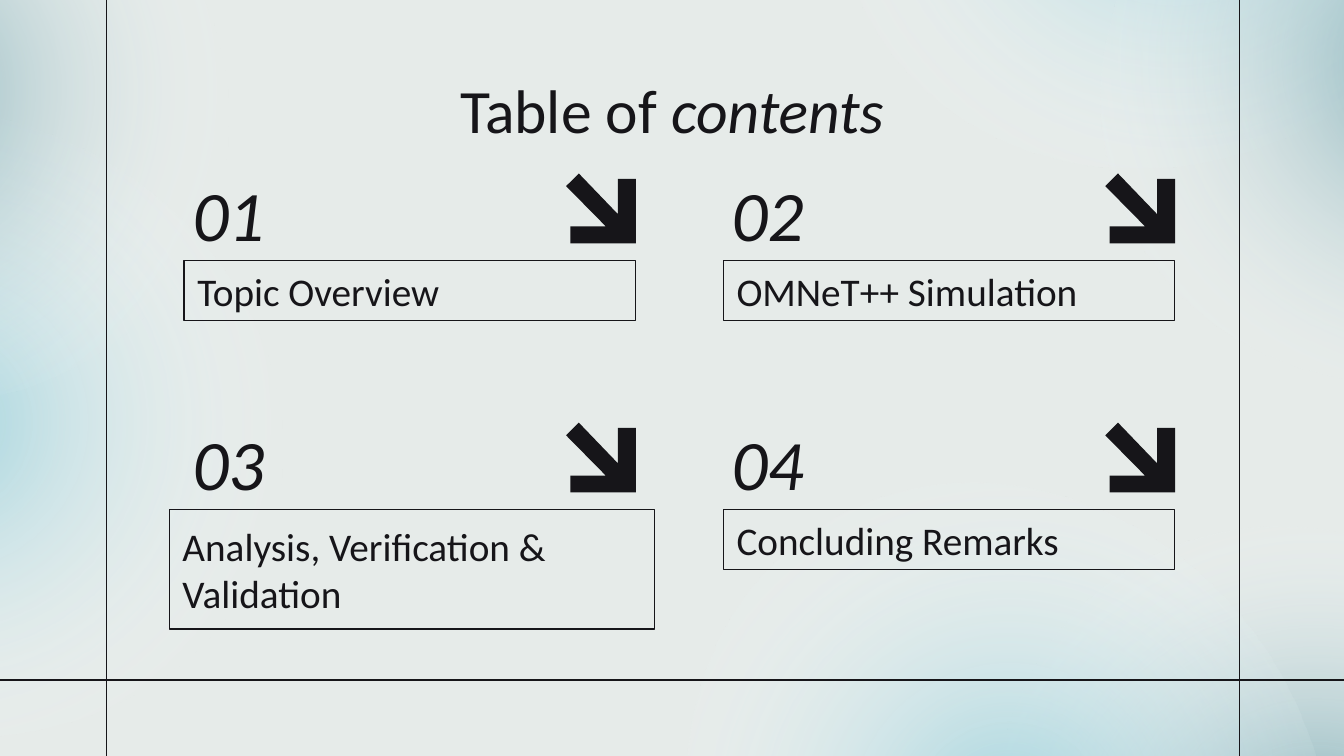
"""Build the table of contents slide with four numbered topics."""
import dataclasses

import pptx
import pptx.dml.color
import pptx.enum.shapes
import pptx.enum.text
import pptx.oxml
import pptx.oxml.ns
import pptx.util

Cm = pptx.util.Cm
ALIGN = pptx.enum.text.PP_ALIGN
SHAPES = pptx.enum.shapes.MSO_SHAPE


@dataclasses.dataclass(frozen=True)
class Theme:
    font: str = "Calibri"
    ink: str = "161519"
    paper: str = "E6EBE9"
    teal: str = "4E909E"
    aqua: str = "80C8D8"
    clear: str = "FFFFFF"
    title_size: int = 33
    number_size: int = 38
    topic_size: int = 21
    rule_width: float = 0.75


THEME = Theme()
SLIDE_WIDTH, SLIDE_HEIGHT = 25.4, 14.29
COLUMN_PITCH, ROW_PITCH = 10.19, 4.71
GLOW_WIDTH, GLOW_HEIGHT = 13.26, 11.68
ARROW_OUTLINE = [(0.24, 0), (0, 0.24), (0.75, 1), (0.08, 1), (0.08, 1.32),
                 (1.32, 1.32), (1.32, 0.1), (0.98, 0.1), (0.98, 0.77)]
GLOWS = [
    (18.24, 10.52, 237.1, THEME.teal, 81),
    (12.42, 9.68, 237.1, THEME.aqua, 68),
    (-7.82, 2.13, 202, THEME.aqua, 68),
    (-8.84, -4.14, 202, THEME.teal, 68),
    (15.57, -8.74, 149, THEME.aqua, 68),
    (20.6, -4.65, 149, THEME.teal, 68),
]
NARROW_LABEL = (3.48, 8.53, 1.14)
WIDE_LABEL = (3.2, 9.17, 2.26)
TOPICS = [
    ("Topic Overview", NARROW_LABEL),
    ("OMNeT++ Simulation", NARROW_LABEL),
    ("Analysis, Verification & Validation", WIDE_LABEL),
    ("Concluding Remarks", NARROW_LABEL),
]


def rgb(value):
    return pptx.dml.color.RGBColor.from_string(value)


def add_glow(slide, left, top, angle, color, opacity):
    glow = slide.shapes.add_shape(
        SHAPES.OVAL, Cm(left), Cm(top), Cm(GLOW_WIDTH), Cm(GLOW_HEIGHT))
    glow.rotation = angle
    glow.shadow.inherit = False
    glow.line.fill.background()
    glow.fill.background()
    stops = "".join(
        f'<a:gs pos="{position * 1000}"><a:srgbClr val="{tint}">'
        f'<a:alpha val="{alpha * 1000}"/></a:srgbClr></a:gs>'
        for position, tint, alpha in [
            (0, color, opacity), (58, THEME.clear, 0), (100, THEME.clear, 0)])
    gradient = pptx.oxml.parse_xml(
        f'<a:gradFill {pptx.oxml.ns.nsdecls("a")} rotWithShape="1">'
        f'<a:gsLst>{stops}</a:gsLst><a:path path="circle">'
        '<a:fillToRect l="50000" t="50000" r="50000" b="50000"/>'
        '</a:path></a:gradFill>')
    properties = glow.element.spPr
    properties.replace(properties.find(pptx.oxml.ns.qn("a:noFill")), gradient)


def add_rule(slide, start, end):
    rule = slide.shapes.add_connector(
        pptx.enum.shapes.MSO_CONNECTOR.STRAIGHT,
        *[Cm(value) for value in (*start, *end)])
    rule.line.color.rgb = rgb(THEME.ink)
    rule.line.width = pptx.util.Pt(THEME.rule_width)
    rule.element.spPr.append(pptx.oxml.parse_xml(
        f'<a:effectLst {pptx.oxml.ns.nsdecls("a")}/>'))


def write_text(holder, runs, size, align):
    frame = holder.text_frame
    frame.word_wrap = True
    frame.vertical_anchor = pptx.enum.text.MSO_ANCHOR.MIDDLE
    frame.margin_left = frame.margin_right = Cm(0.25)
    frame.margin_top = frame.margin_bottom = Cm(0.25)
    paragraph = frame.paragraphs[0]
    paragraph.alignment = align
    for words, italic in runs:
        run = paragraph.add_run()
        run.text = words
        run.font.name = THEME.font
        run.font.size = pptx.util.Pt(size)
        run.font.italic = italic
        run.font.color.rgb = rgb(THEME.ink)


def add_heading(slide, left, top, width, height, runs, size):
    heading = slide.shapes.add_textbox(Cm(left), Cm(top), Cm(width), Cm(height))
    write_text(heading, runs, size, ALIGN.CENTER)


def add_label(slide, left, top, width, height, topic):
    label = slide.shapes.add_shape(
        SHAPES.RECTANGLE, Cm(left), Cm(top), Cm(width), Cm(height))
    label.shadow.inherit = False
    label.fill.background()
    label.line.color.rgb = rgb(THEME.ink)
    label.line.width = pptx.util.Pt(THEME.rule_width)
    write_text(label, [(topic, False)], THEME.topic_size, ALIGN.LEFT)


def add_arrow(slide, left, top):
    corners = [(Cm(left + x), Cm(top + y)) for x, y in ARROW_OUTLINE]
    outline = slide.shapes.build_freeform(*corners[0])
    outline.add_line_segments(corners[1:], close=True)
    arrow = outline.convert_to_shape()
    arrow.shadow.inherit = False
    arrow.fill.solid()
    arrow.fill.fore_color.rgb = rgb(THEME.ink)
    arrow.line.fill.background()


def add_topic(slide, index, topic, label_box):
    row, column = divmod(index, 2)
    across, down = column * COLUMN_PITCH, row * ROW_PITCH
    left, width, height = label_box
    add_label(slide, left + across, 4.92 + down, width, height, topic)
    add_heading(slide, 3.2 + across, 3.15 + down, 2.24, 1.75,
                [(f"{index + 1:02}", True)], THEME.number_size)
    add_arrow(slide, 10.7 + across, 3.28 + down)


def main():
    deck = pptx.Presentation()
    deck.slide_width, deck.slide_height = Cm(SLIDE_WIDTH), Cm(SLIDE_HEIGHT)
    slide = deck.slides.add_slide(deck.slide_layouts[6])
    slide.background.fill.solid()
    slide.background.fill.fore_color.rgb = rgb(THEME.paper)
    for glow in GLOWS:
        add_glow(slide, *glow)
    for margin in (23.43, 2.01):
        add_rule(slide, (margin, 0), (margin, SLIDE_HEIGHT))
    add_rule(slide, (0, 12.85), (SLIDE_WIDTH, 12.85))
    add_heading(slide, 1.98, 1.25, 21.44, 1.6,
                [("Table of ", False), ("contents", True)], THEME.title_size)
    for index, (topic, label_box) in enumerate(TOPICS):
        add_topic(slide, index, topic, label_box)
    deck.save("out.pptx")


if __name__ == "__main__":
    main()
